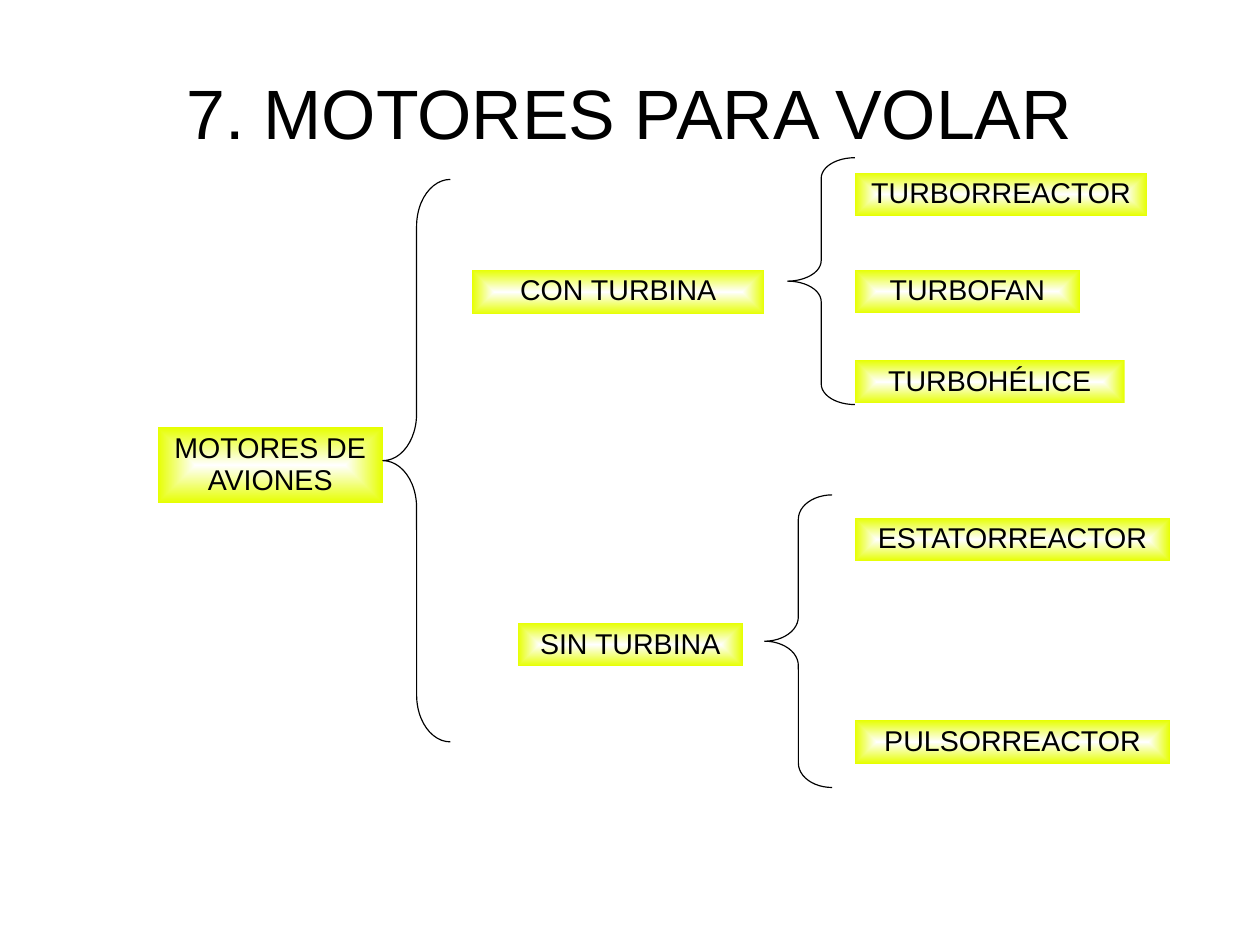
from lxml import etree
from pptx import Presentation
from pptx import util as u
from pptx.dml.color import RGBColor
from pptx.enum import shapes, text
from pptx.oxml import ns


def ink(code):
    return RGBColor.from_string(code)


def write(shape, words, size, anchor, pads):
    frame = shape.text_frame
    frame.text = words
    form = dict(word_wrap=True, auto_size=text.MSO_AUTO_SIZE.NONE, vertical_anchor=anchor)
    for side, pad in zip(("left", "top", "right", "bottom"), pads):
        form["margin_" + side] = u.Inches(pad)
    for name, value in form.items():
        setattr(frame, name, value)
    line = frame.paragraphs[0]
    line.alignment = text.PP_ALIGN.CENTER
    line.line_spacing = 0.93
    font = line.runs[0].font
    for name, value in dict(name="Arial", size=u.Pt(size), bold=False).items():
        setattr(font, name, value)
    font.color.rgb = ink("000000")


deck = Presentation()
deck.slide_width = u.Emu(10080625)
deck.slide_height = u.Emu(7559675)
slide = deck.slides.add_slide(deck.slide_layouts[5])

title = slide.shapes.title
for name, value in dict(left=0.55, top=0.38, width=9.92, height=1.28).items():
    setattr(title, name, u.Inches(value))
write(title, "7. MOTORES PARA VOLAR", 44, text.MSO_ANCHOR.MIDDLE, (0, 0, 0, 0))

boxes = [
    ("MOTORES DE AVIONES", 1.38, 3.74, 1.97, 0.66),
    ("CON TURBINA", 4.13, 2.36, 2.56, 0.39),
    ("SIN TURBINA", 4.53, 5.45, 1.97, 0.38),
    ("TURBORREACTOR", 7.48, 1.51, 2.56, 0.38),
    ("TURBOFAN", 7.48, 2.36, 1.97, 0.38),
    ("TURBOHÉLICE", 7.48, 3.15, 2.36, 0.38),
    ("ESTATORREACTOR", 7.48, 4.53, 2.76, 0.38),
    ("PULSORREACTOR", 7.48, 6.3, 2.76, 0.38),
]
for words, *place in boxes:
    box = slide.shapes.add_shape(shapes.MSO_SHAPE.RECTANGLE, *map(u.Inches, place))
    box.shadow.inherit = False
    box.line.fill.background()
    box.fill.gradient()
    for stop, code in zip(box.fill.gradient_stops, ("FFFFFF", "E6FF00")):
        stop.color.rgb = ink(code)
    grad = box.element.spPr.find(ns.qn("a:gradFill"))
    grad.remove(grad.find(ns.qn("a:lin")))
    glow = etree.SubElement(grad, ns.qn("a:path"), {"path": "rect"})
    etree.SubElement(glow, ns.qn("a:fillToRect"), dict.fromkeys("ltrb", "50000"))
    write(box, words, 18, text.MSO_ANCHOR.TOP, (0.1, 0.05, 0.1, 0.05))

wide = 0.59
for left, top, high in [(3.35, 1.57, 4.92), (6.89, 1.38, 2.16), (6.69, 4.33, 2.56)]:
    place = map(u.Inches, (left, top, wide, high))
    brace = slide.shapes.add_shape(shapes.MSO_SHAPE.LEFT_BRACE, *place)
    brace.adjustments[0] = high / 12 / wide
    brace.shadow.inherit = False
    brace.fill.background()
    brace.line.color.rgb = ink("000000")
    brace.line.width = u.Pt(0.75)

deck.save("out.pptx")
